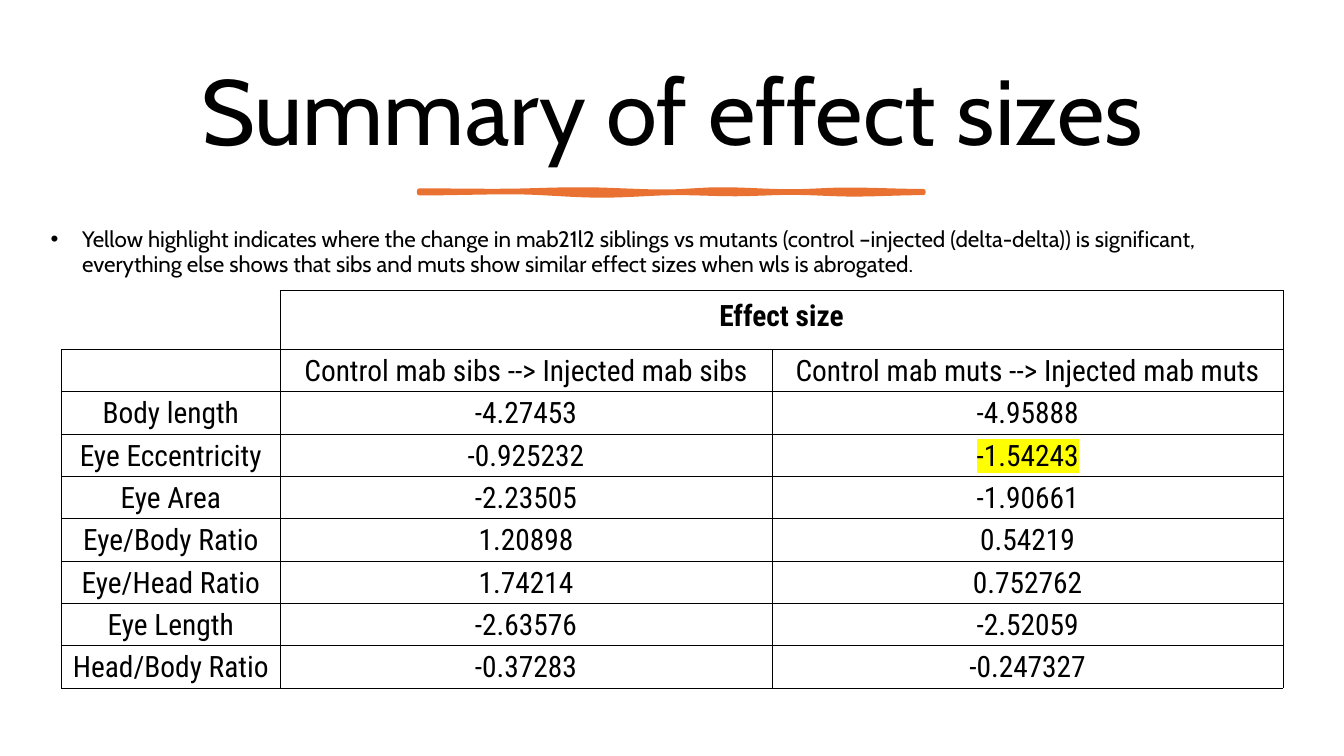
"""Build the slide that sums up effect sizes in one table."""
from math import cos, pi
from lxml.etree import SubElement as Sub
from pptx import Presentation
from pptx.dml.color import RGBColor
from pptx.enum.text import MSO_ANCHOR as Anchor, PP_ALIGN as Align
from pptx.oxml.ns import qn
from pptx.util import Pt

TITLE = "Summary of effect sizes"
NOTE = (
    "Yellow highlight indicates where the change in mab21l2 siblings vs mutants "
    "(control –injected (delta-delta)) is significant, everything else shows that "
    "sibs and muts show similar effect sizes when wls is abrogated."
)
HEAD = "Effect size"
ROWS = [
    ("", "Control mab sibs --> Injected mab sibs", "Control mab muts --> Injected mab muts"),
    ("Body length", "-4.27453", "-4.95888"),
    ("Eye Eccentricity", "-0.925232", "-1.54243"),
    ("Eye Area", "-2.23505", "-1.90661"),
    ("Eye/Body Ratio", "1.20898", "0.54219"),
    ("Eye/Head Ratio", "1.74214", "0.752762"),
    ("Eye Length", "-2.63576", "-2.52059"),
    ("Head/Body Ratio", "-0.37283", "-0.247327"),
]
MARKED = {"-1.54243"}
WIDTHS = (156, 351.5, 365)
TOP = [(299.5, 136.2), (355, 136.5), (415, 135.4), (475, 137),
       (515, 135.4), (565, 136.8), (605, 135.6), (659.5, 136.6)]
BASE = [(659.5, 137.8), (610, 138.8), (565, 137.6), (525, 138.6),
        (485, 137.8), (430, 139.6), (365, 137.2), (299.5, 138)]
BLACK, ORANGE, YELLOW = "000000", "E97132", "FFFF00"
SANS, GRID = "Cabin", "Roboto Condensed"


def tint(code):
    return RGBColor.from_string(code)


def write(para, text, size, face, bold=False, mark=False):
    run = para.add_run()
    run.text = text
    font = run.font
    font.size, font.bold = Pt(size), bold
    font.color.rgb = tint(BLACK)
    if mark:
        glow = Sub(font._element, qn("a:highlight"))
        Sub(glow, qn("a:srgbClr"), val=YELLOW)
    font.name = face


def pad(part, left, top, right, base):
    part.margin_left, part.margin_top = Pt(left), Pt(top)
    part.margin_right, part.margin_bottom = Pt(right), Pt(base)


def frame(cell, sides):
    props = cell._tc.get_or_add_tcPr()
    for side in sides:
        edge = Sub(props, qn("a:ln" + side), w=str(Pt(0.5)))
        Sub(Sub(edge, qn("a:solidFill")), qn("a:srgbClr"), val=BLACK)
    cell.fill.background()


def wave(knots, steps=8):
    for (x, y), (u, v) in zip(knots, knots[1:]):
        for step in range(steps + 1):
            part = step / steps
            ease = (1 - cos(pi * part)) / 2
            yield Pt(x + (u - x) * part), Pt(y + (v - y) * ease)


def add_title(slide):
    title = slide.shapes.title
    title.left, title.top = Pt(50.5), Pt(33)
    title.width, title.height = Pt(859), Pt(98.6)
    frm = title.text_frame
    frm.word_wrap, frm.vertical_anchor = True, Anchor.MIDDLE
    para = frm.paragraphs[0]
    para.alignment, para.line_spacing = Align.CENTER, 0.9
    write(para, TITLE, 66, SANS)


def add_note(slide):
    box = slide.shapes.add_textbox(Pt(29), Pt(153.5), Pt(887), Pt(54))
    frm = box.text_frame
    frm.word_wrap, frm.vertical_anchor = True, Anchor.MIDDLE
    para = frm.paragraphs[0]
    props = para._p.get_or_add_pPr()
    props.set("marL", str(Pt(22.5)))
    props.set("indent", str(Pt(-22.5)))
    Sub(props, qn("a:buFont"), typeface="Arial")
    Sub(props, qn("a:buChar"), char="•")
    para.line_spacing = 0.9
    write(para, NOTE, 16, SANS)


def add_stroke(slide):
    dots = list(wave(TOP)) + list(wave(BASE))
    form = slide.shapes.build_freeform(*dots[0])
    form.add_line_segments(dots[1:], close=True)
    stroke = form.convert_to_shape()
    stroke.shadow.inherit = False
    stroke.fill.solid()
    stroke.fill.fore_color.rgb = tint(ORANGE)
    stroke.line.color.rgb = tint(ORANGE)
    stroke.line.width = Pt(3.25)


def add_grid(slide):
    count = len(ROWS) + 1
    high = [42] + [30.25] * len(ROWS)
    table = slide.shapes.add_table(
        count, len(WIDTHS), Pt(44), Pt(207.5), Pt(sum(WIDTHS)), Pt(sum(high))
    ).table
    table.first_row = table.horz_banding = False
    for col, wide in zip(table.columns, WIDTHS):
        col.width = Pt(wide)
    for row, tall in zip(table.rows, high):
        row.height = Pt(tall)
    table.cell(0, 1).merge(table.cell(0, 2))
    for r, texts in enumerate([("", HEAD, "")] + ROWS):
        for c, text in enumerate(texts):
            cell = table.cell(r, c)
            frame(cell, "RB" if r + c == 0 else "LRTB")
            if not text:
                continue
            if r:
                pad(cell, 1.5, 1.5, 1.5, 0)
                cell.vertical_anchor = Anchor.MIDDLE
            else:
                pad(cell, 13.5, 6.5, 13.5, 6.5)
            para = cell.text_frame.paragraphs[0]
            para.alignment = Align.CENTER
            write(para, text, 21, GRID, r == 0, text in MARKED)


def main():
    deck = Presentation()
    deck.slide_width, deck.slide_height = Pt(960), Pt(540)
    slide = deck.slides.add_slide(deck.slide_layouts[5])
    for add in (add_title, add_note, add_stroke, add_grid):
        add(slide)
    deck.save("out.pptx")


if __name__ == "__main__":
    main()
